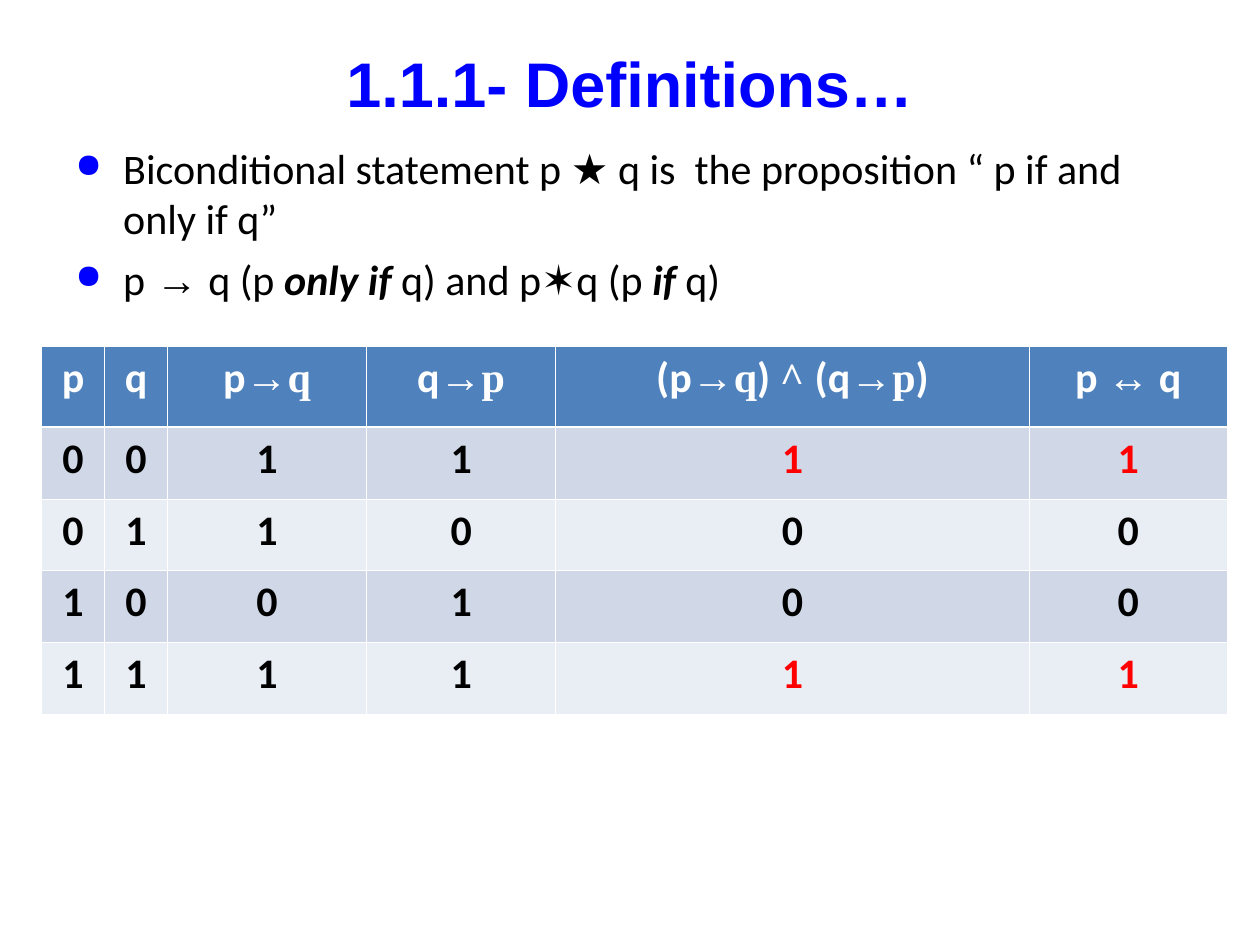
import pptx
import pptx.dml.color
import pptx.enum.text
import pptx.oxml
import pptx.oxml.ns
import pptx.util

UNIT = pptx.util.Inches(0.1)
MAIN, TIMES, LATO = "Calibri", "Times New Roman", "Lato"
WHITE, BLACK, BLUE, RED = "FFFFFF", "000000", "0000FF", "FF0000"
HEAD, BANDS = "4F81BD", ("D0D8E8", "E9EDF4")
COLS = (5, 5, 15.8, 15, 37.6, 15.7)
ROWS = (6.4, 5.7, 5.7, 5.7, 5.7)
BITS = ("001111", "011000", "100100", "111111")
TERMS = (
    [("p", MAIN)],
    [("q", MAIN)],
    [("p", MAIN), ("→q", TIMES)],
    [("q", MAIN), ("→p", TIMES)],
    [("(p", MAIN), ("→q", TIMES), (") ", MAIN), ("^ ", TIMES),
     ("(q", MAIN), ("→p", TIMES), (")", MAIN)],
    [("p ", MAIN), ("↔", TIMES), (" q", MAIN)],
)
POINTS = (
    [("Biconditional statement p ", MAIN, False), ("★", LATO, False),
     (" q is  the proposition “ p if and only if q”", MAIN, False)],
    [("p", MAIN, False), (" → ", TIMES, False), ("q (p ", MAIN, False),
     ("only if ", MAIN, True), ("q) and p", MAIN, False),
     ("✶", LATO, False), ("q (p ", MAIN, False), ("if", MAIN, True),
     (" q)", MAIN, False)],
)


def grid(*spans):
    return [round(span * UNIT) for span in spans]


def tint(text):
    return pptx.dml.color.RGBColor.from_string(text)


def node(tag, inner="", **attrs):
    pairs = "".join(f' {key}="{val}"' for key, val in attrs.items())
    space = pptx.oxml.ns.nsdecls("a")
    return pptx.oxml.parse_xml(f"<a:{tag} {space}{pairs}>{inner}</a:{tag}>")


def solid(color):
    return f'<a:solidFill><a:srgbClr val="{color}"/></a:solidFill>'


def add_run(para, text, face, color, size=24, bold=False, slant=False):
    run = para.add_run()
    run.text = text
    font = run.font
    font.name, font.size = face, pptx.util.Pt(size)
    font.bold, font.italic = bold, slant
    font.color.rgb = tint(color)


def center(para):
    para.alignment = pptx.enum.text.PP_ALIGN.CENTER


def add_box(slide, *spans):
    frame = slide.shapes.add_textbox(*grid(*spans)).text_frame
    frame.word_wrap = True
    return frame


def add_title(slide):
    frame = add_box(slide, 5, 3, 90, 7)
    frame.vertical_anchor = pptx.enum.text.MSO_ANCHOR.MIDDLE
    para = frame.paragraphs[0]
    center(para)
    add_run(para, "1.1.1- Definitions…", "Arial", BLUE, 36, True)


def set_bullet(para):
    props = para._p.get_or_add_pPr()
    indent = pptx.util.Inches(0.38)
    props.set("marL", str(indent))
    props.set("indent", str(-indent))
    props.append(node("buClr", f'<a:srgbClr val="{BLUE}"/>'))
    props.append(node("buSzPct", val=80000))
    props.append(node("buChar", char="●"))


def add_points(slide):
    frame = add_box(slide, 5, 10.8, 90, 18.3)
    for num, parts in enumerate(POINTS):
        para = frame.add_paragraph() if num else frame.paragraphs[0]
        set_bullet(para)
        if num:
            para.space_before = pptx.util.Pt(6)
        for text, face, strong in parts:
            add_run(para, text, face, BLACK, bold=strong, slant=strong)


def set_lines(cell, top, base):
    props = cell._tc.get_or_add_tcPr()
    for side, width in zip("LRTB", (0.45, 0.45, top, base)):
        props.append(node("ln" + side, solid(WHITE), w=pptx.util.Pt(width)))


def fill_cell(cell, parts, color, back):
    cell.fill.solid()
    cell.fill.fore_color.rgb = tint(back)
    para = cell.text_frame.paragraphs[0]
    center(para)
    for text, face in parts:
        add_run(para, text, face, color, bold=True)


def add_truth(slide):
    area = grid(3.3, 27.5, sum(COLS), sum(ROWS))
    table = slide.shapes.add_table(len(ROWS), len(COLS), *area).table
    table.horz_banding = False
    for col, width in zip(table.columns, grid(*COLS)):
        col.width = width
    for row, height in zip(table.rows, grid(*ROWS)):
        row.height = height
    for col, parts in enumerate(TERMS):
        cell = table.cell(0, col)
        set_lines(cell, 0.45, 1.47)
        fill_cell(cell, parts, WHITE, HEAD)
    for row, bits in enumerate(BITS, 1):
        for col, bit in enumerate(bits):
            cell = table.cell(row, col)
            set_lines(cell, 1.47 if row == 1 else 0.45, 0.45)
            color = RED if col >= 4 and bit == "1" else BLACK
            fill_cell(cell, [(bit, MAIN)], color, BANDS[(row - 1) % 2])


def main():
    deck = pptx.Presentation()
    deck.slide_width, deck.slide_height = grid(100, 75)
    slide = deck.slides.add_slide(deck.slide_layouts[6])
    add_title(slide)
    add_points(slide)
    add_truth(slide)
    deck.save("out.pptx")


if __name__ == "__main__":
    main()
